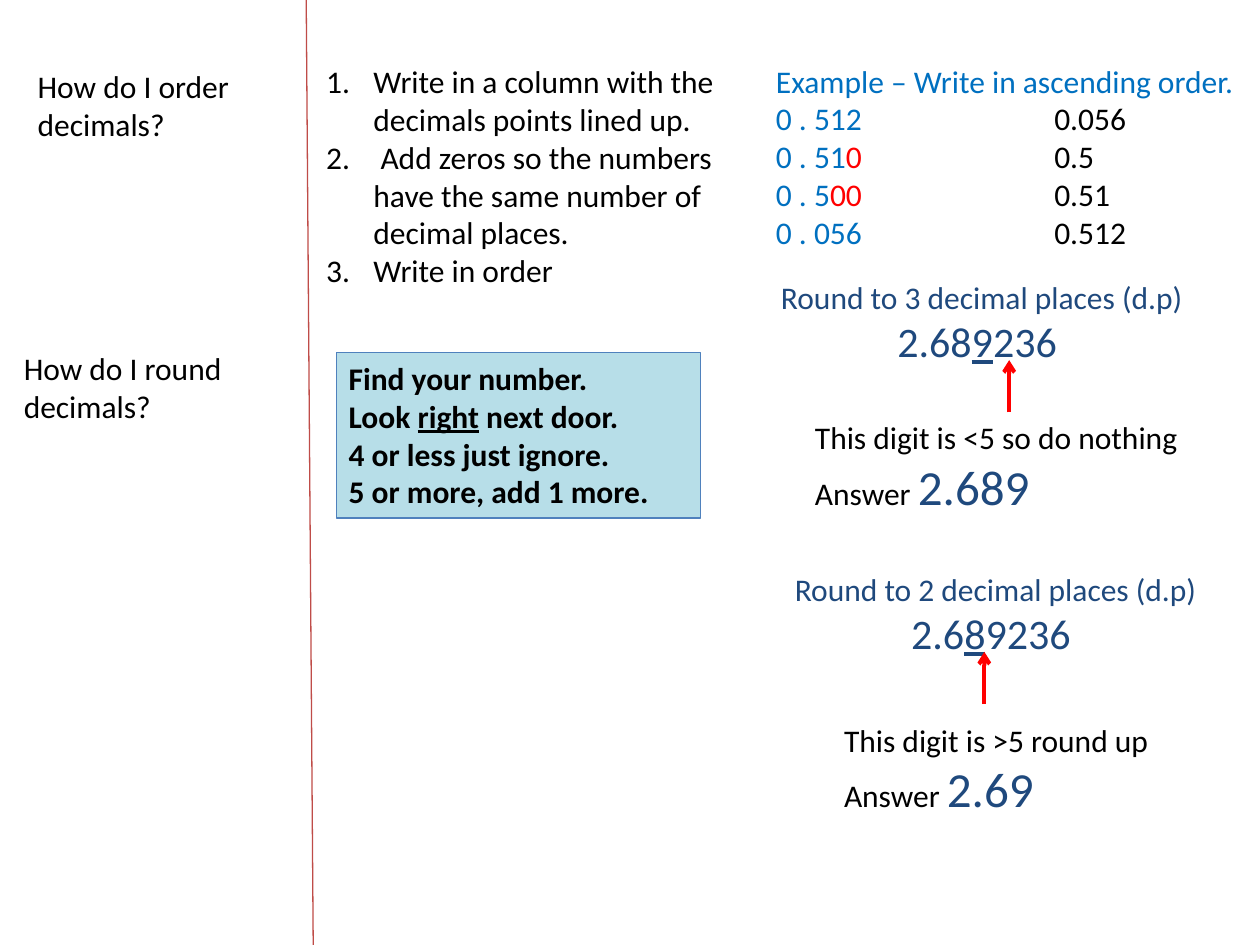
from lxml.etree import SubElement
from pptx import Presentation
from pptx.dml.color import RGBColor
from pptx.enum.shapes import MSO_CONNECTOR as LINE, MSO_SHAPE as SHAPE
from pptx.enum.text import MSO_ANCHOR as ANCHOR, MSO_AUTO_SIZE as FIT, PP_ALIGN as ALIGN
from pptx.oxml.ns import qn
from pptx.util import Pt

BLACK, RED, BLUE, NAVY = "000000", "FF0000", "0070C0", "1F497D"


def rgb(color):
    return RGBColor.from_string(color)


def number_paragraph(paragraph, indent=27):
    properties = paragraph._p.get_or_add_pPr()
    properties.set("marL", str(Pt(indent)))
    properties.set("indent", str(-Pt(indent)))
    SubElement(properties, qn("a:buFont"), typeface="+mj-lt")
    SubElement(properties, qn("a:buAutoNum"), type="arabicPeriod")


def write(frame, lines, size=18, color=BLACK, bold=False, wrap=True, numbered=False):
    """Fill a frame; a line is a list of (text, format) pairs or a plain string."""
    frame.word_wrap = wrap
    frame.auto_size = FIT.SHAPE_TO_FIT_TEXT
    frame.vertical_anchor = ANCHOR.TOP
    for index, line in enumerate(lines):
        paragraph = frame.add_paragraph() if index else frame.paragraphs[0]
        paragraph.alignment = ALIGN.LEFT
        if numbered:
            number_paragraph(paragraph)
        for text, style in [(line, {})] if isinstance(line, str) else line:
            run = paragraph.add_run()
            run.text = text
            font = run.font
            font.name = "Calibri"
            font.size = Pt(style.get("size", size))
            font.bold = bold
            font.underline = style.get("underline")
            font.color.rgb = rgb(style.get("color", color))


def add_text(slide, left, top, width, height, lines, **style):
    box = slide.shapes.add_textbox(Pt(left), Pt(top), Pt(width), Pt(height))
    write(box.text_frame, lines, **style)
    return box.text_frame


def add_rhyme(slide, left, top, width, height, lines):
    card = slide.shapes.add_shape(SHAPE.RECTANGLE, Pt(left), Pt(top), Pt(width), Pt(height))
    card.shadow.inherit = False
    card.fill.solid()
    card.fill.fore_color.rgb = rgb("B7DEE8")
    card.line.color.rgb = rgb("4F81BD")
    card.line.width = Pt(0.75)
    write(card.text_frame, lines, bold=True)


def add_line(slide, start, end, color, width, arrow=False):
    line = slide.shapes.add_connector(LINE.STRAIGHT, *map(Pt, start + end))
    line.line.color.rgb = rgb(color)
    line.line.width = Pt(width)
    if arrow:
        SubElement(line.line._get_or_add_ln(), qn("a:tailEnd"), type="arrow")
    SubElement(line._element.spPr, qn("a:effectLst"))


def add_rounding(slide, left, top, places, digits, arrow_x, verdict_at, verdict, answer):
    """Show a number with its rounding digit underlined and the next one pointed at."""
    before, rounded, after = digits
    number = [(before, {"size": 24}), (rounded, {"size": 24, "underline": True}),
              (after + " ", {"size": 24})]
    title = f"Round to {places} decimal places (d.p)"
    frame = add_text(slide, left, top, 247, 80, [title, number], color=NAVY, wrap=False)
    frame.paragraphs[1].alignment = ALIGN.CENTER
    add_line(slide, (arrow_x, top + 80.3), (arrow_x, top + 50.5), RED, 2.25, arrow=True)
    result = [("Answer ", {}), (answer, {"size": 28, "color": NAVY})]
    width = 224.6 if places == 3 else 190.8
    add_text(slide, *verdict_at, width, 63.4, [verdict, result], wrap=False)


def main():
    deck = Presentation()
    deck.slide_width, deck.slide_height = Pt(720), Pt(540)
    slide = deck.slides.add_slide(deck.slide_layouts[6])

    add_line(slide, (175, 0), (179, 540), "BF4C48", 0.75)
    add_text(slide, 14.4, 34.6, 157.7, 51, ["How do I order decimals?"])
    add_text(slide, 6.5, 195.8, 157.7, 51, ["How do I round decimals?"])

    add_text(slide, 179.3, 32, 245.5, 138, [
        "Write in a column with the decimals points lined up.",
        " Add zeros so the numbers have the same number of decimal places.",
        "Write in order",
    ], numbered=True)
    add_rhyme(slide, 192.2, 201.6, 208, 94.5, [
        "Find your number.",
        [("Look ", {}), ("right", {"underline": True}), (" next door.", {})],
        "4 or less just ignore.",
        "5 or more, add 1 more.",
    ])

    padding = {"color": RED}
    add_text(slide, 436.3, 31.7, 280.8, 116.6, [
        "Example – Write in ascending order.",
        "0 . 512",
        [("0 . 51", {}), ("0", padding)],
        [("0 . 5", {}), ("00", padding)],
        "0 . 056",
    ], color=BLUE)
    add_text(slide, 595.4, 53.3, 124.6, 94.5, ["0.056", "0.5", "0.51", "0.512"])

    add_rounding(slide, 439.2, 155.3, 3, ("2.68", "9", "236"), 576.7,
                 (458.6, 235.6), "This digit is <5 so do nothing", "2.689")
    add_rounding(slide, 447.1, 322, 2, ("2.6", "8", "9236"), 562.5,
                 (475.2, 408.2), "This digit is >5 round up", "2.69")

    deck.save("out.pptx")


if __name__ == "__main__":
    main()
